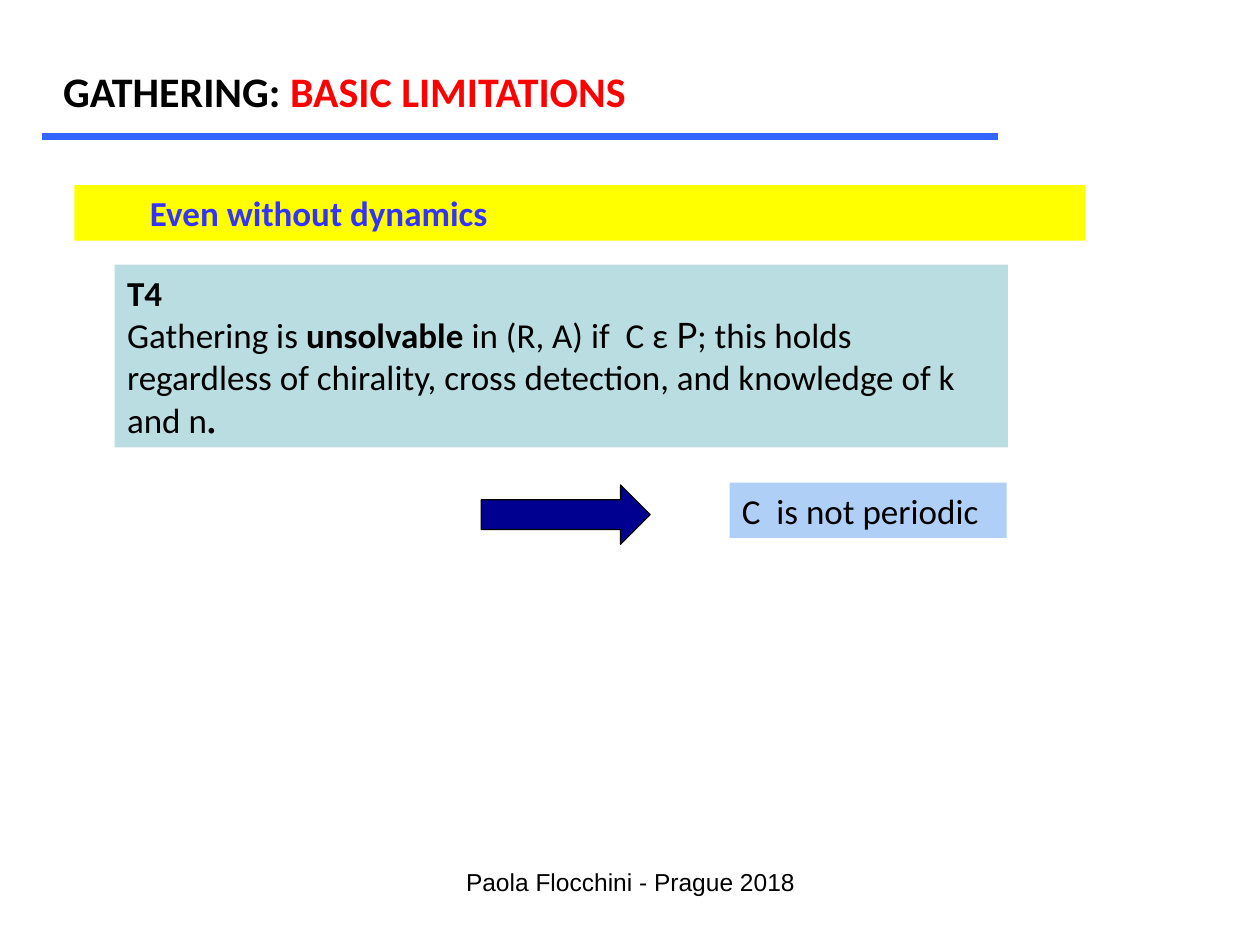
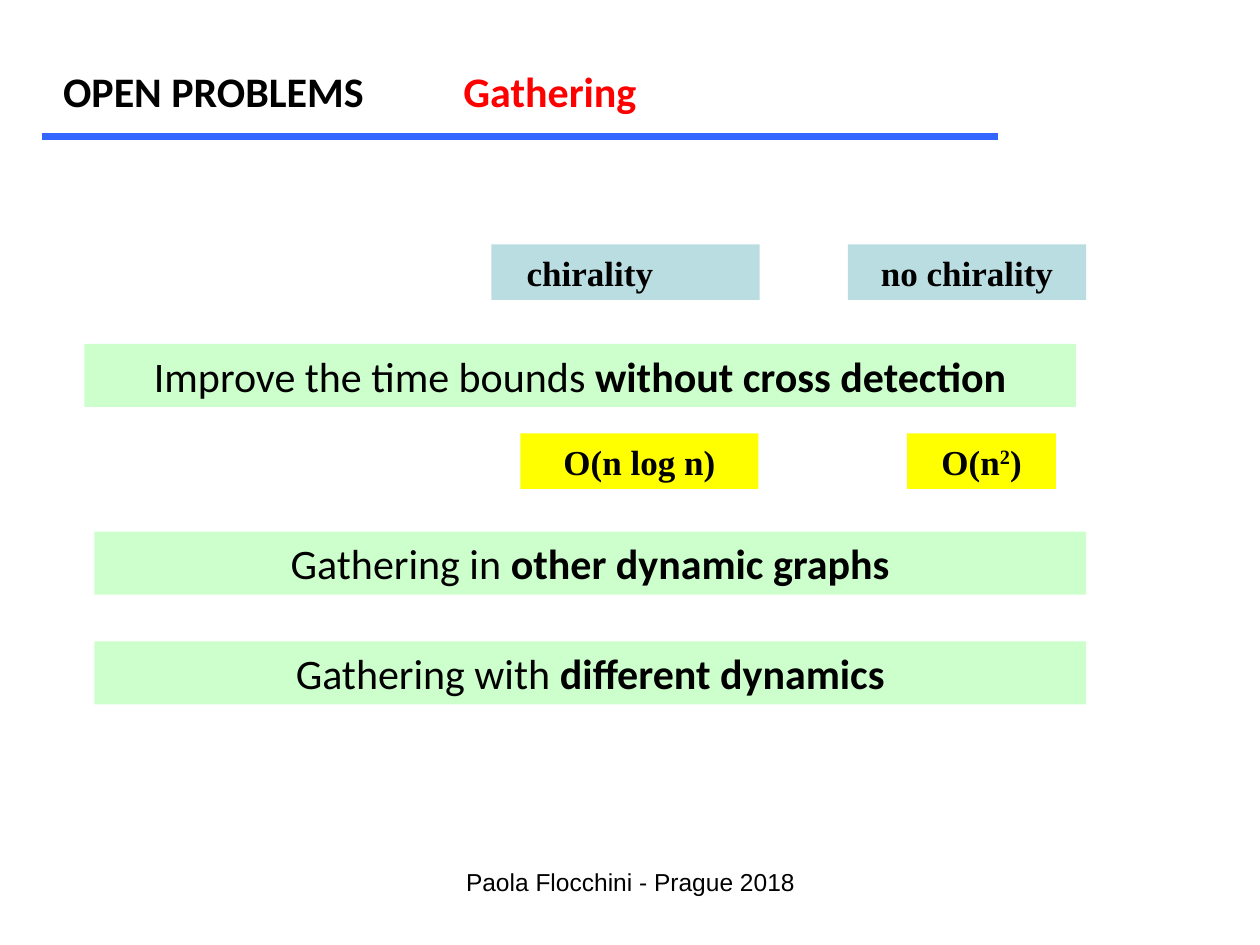
"""Build two slides on gathering: basic limitations and open problems."""
from dataclasses import dataclass

from pptx import Presentation
from pptx.dml.color import RGBColor
from pptx.enum.shapes import MSO_CONNECTOR, MSO_SHAPE
from pptx.enum.text import MSO_ANCHOR, MSO_AUTO_SIZE, PP_ALIGN
from pptx.oxml.ns import qn
from pptx.util import Inches, Pt
from lxml import etree

LEFT, CENTER = PP_ALIGN.LEFT, PP_ALIGN.CENTER
TOP, MIDDLE = MSO_ANCHOR.TOP, MSO_ANCHOR.MIDDLE
NO_FIT = MSO_AUTO_SIZE.NONE
RECTANGLE, RIGHT_ARROW = MSO_SHAPE.RECTANGLE, MSO_SHAPE.RIGHT_ARROW
STRAIGHT = MSO_CONNECTOR.STRAIGHT
TITLE_ONLY = 5
SLIDE_WIDTH, SLIDE_HEIGHT = Inches(10), Inches(7.5)
COLUMN, ROW = SLIDE_WIDTH / 100, SLIDE_HEIGHT / 75
FOOTER = "Paola Flocchini - Prague 2018"


@dataclass(frozen=True)
class Theme:
    """Colours, fonts and type sizes of the deck."""
    ink: str = "000000"
    accent: str = "FF0000"
    rule: str = "3366FF"
    heading: str = "3333FF"
    highlight: str = "FFFF00"
    theorem: str = "BADDE1"
    result: str = "AFCFF6"
    problem: str = "CCFFCC"
    arrow: str = "000090"
    sans: str = "Calibri"
    serif: str = "Times New Roman"
    symbol: str = "Lato"
    footer_font: str = "Arial"
    large: int = 24
    medium: int = 20
    small: int = 14


THEME = Theme()


@dataclass(frozen=True)
class Span:
    """A stretch of text with its own look."""
    text: str
    bold: bool = False
    font: str = THEME.sans
    size: int = THEME.medium
    color: str = THEME.ink
    raised: bool = False


def grid(left, top, width, height):
    """Turn grid columns and rows into slide lengths."""
    return (round(left * COLUMN), round(top * ROW),
            round(width * COLUMN), round(height * ROW))


def write(frame, paragraphs, align=LEFT, anchor=TOP, wrap=True):
    """Fill a text frame with paragraphs made of spans."""
    frame.word_wrap = wrap
    frame.auto_size = NO_FIT
    frame.vertical_anchor = anchor
    frame.margin_left = frame.margin_right = Inches(0.1)
    frame.margin_top = frame.margin_bottom = Inches(0.05)
    for index, spans in enumerate(paragraphs):
        para = frame.add_paragraph() if index else frame.paragraphs[0]
        para.alignment = align
        for span in spans:
            run = para.add_run()
            run.text = span.text
            run.font.name = span.font
            run.font.size = Pt(span.size)
            run.font.bold = span.bold
            run.font.color.rgb = RGBColor.from_string(span.color)
            if span.raised:
                run.font._element.set("baseline", "30000")


def add_block(page, kind, area, fill):
    """Add a flat filled shape without outline."""
    block = page.shapes.add_shape(kind, *grid(*area))
    block.shadow.inherit = False
    block.fill.solid()
    block.fill.fore_color.rgb = RGBColor.from_string(fill)
    block.line.fill.background()
    return block


def add_panel(page, area, fill, *paragraphs, align=CENTER, indent=0):
    """Add a filled rectangle with text, indented by a number of columns."""
    panel = add_block(page, RECTANGLE, area, fill)
    frame = panel.text_frame
    write(frame, paragraphs, align, MIDDLE)
    frame.margin_left += round(indent * COLUMN)


def add_text(page, area, span, align=LEFT, wrap=True):
    """Add a plain text box."""
    box = page.shapes.add_textbox(*grid(*area))
    write(box.text_frame, [[span]], align, wrap=wrap)


def add_arrow(page, area):
    """Add an outlined arrow pointing right."""
    arrow = add_block(page, RIGHT_ARROW, area, THEME.arrow)
    arrow.line.color.rgb = RGBColor.from_string(THEME.ink)
    arrow.line.width = Pt(0.75)


def add_rule(page):
    """Draw the line under the title."""
    left, top, width, height = grid(3.3, 10.8, 75.9, 0)
    rule = page.shapes.add_connector(STRAIGHT, left, top, left + width, top)
    rule.line.color.rgb = RGBColor.from_string(THEME.rule)
    rule.line.width = Pt(4)
    etree.SubElement(rule._element.spPr, qn("a:effectLst"))


def title_span(text, color=THEME.ink):
    """Make a span in the title style."""
    return Span(text, True, size=THEME.large, color=color)


def add_page(deck, title_width, *title_spans):
    """Add a slide with its title, rule and footer."""
    page = deck.slides.add_slide(deck.slide_layouts[TITLE_ONLY])
    title = page.shapes.title
    title.left, title.top, title.width, title.height = grid(4, 4.7, title_width, 5)
    write(title.text_frame, [title_spans], wrap=False)
    add_rule(page)
    add_text(page, (34.2, 68.3, 31.7, 5),
             Span(FOOTER, font=THEME.footer_font, size=THEME.small), CENTER)
    return page


def build_limitations(deck):
    """Build the slide on basic limitations."""
    page = add_page(deck, 48, title_span("GATHERING: "),
                    title_span("BASIC LIMITATIONS", THEME.accent))
    add_panel(page, (5.9, 14.7, 80.2, 4.4), THEME.highlight,
              [Span("Even without dynamics", True, color=THEME.heading)],
              align=LEFT, indent=5)
    theorem = [
        Span("Gathering is "), Span("unsolvable", True),
        Span(" in (R, A) if  C ε "), Span("P", font=THEME.symbol),
        Span("; this holds regardless of chirality, cross detection, "
             "and knowledge of k and n"),
        Span(".", True, THEME.serif),
    ]
    add_panel(page, (9.1, 21, 70.9, 14.5), THEME.theorem,
              [Span("T4", True)], theorem, align=LEFT)
    add_arrow(page, (38.2, 38.5, 13.4, 4.7))
    add_panel(page, (57.9, 38.3, 22, 4.4), THEME.result,
              [Span("C  is not periodic")], align=LEFT)


def build_open_problems(deck):
    """Build the slide on open problems."""
    page = add_page(deck, 26.2, title_span("OPEN PROBLEMS"))
    add_text(page, (35.8, 4.7, 15.9, 5),
             title_span("Gathering", THEME.accent), wrap=False)

    def label(text, raised=False):
        """Make a bold serif span."""
        return Span(text, True, THEME.serif, raised=raised)

    add_panel(page, (39, 19.4, 21.3, 4.4), THEME.theorem,
              [label("chirality")], align=LEFT, indent=1.8)
    add_panel(page, (67.3, 19.4, 18.9, 4.4), THEME.theorem, [label("no chirality")])
    add_panel(page, (41.3, 34.4, 18.9, 4.4), THEME.highlight, [label("O(n log n)")])
    add_panel(page, (72, 34.4, 11.8, 4.4), THEME.highlight,
              [label("O(n"), label("2", raised=True), label(")")])
    problems = [
        (6.7, 27.3, "Improve the time bounds ", "without cross detection"),
        (7.5, 42.2, "Gathering in ", "other dynamic graphs"),
        (7.5, 50.9, "Gathering with ", "different dynamics"),
    ]
    for left, top, lead, focus in problems:
        add_panel(page, (left, top, 78.7, 5), THEME.problem,
                  [Span(lead, size=THEME.large), Span(focus, True, size=THEME.large)])


def main():
    """Build and save the deck."""
    deck = Presentation()
    deck.slide_width, deck.slide_height = SLIDE_WIDTH, SLIDE_HEIGHT
    build_limitations(deck)
    build_open_problems(deck)
    deck.save("out.pptx")


if __name__ == "__main__":
    main()
